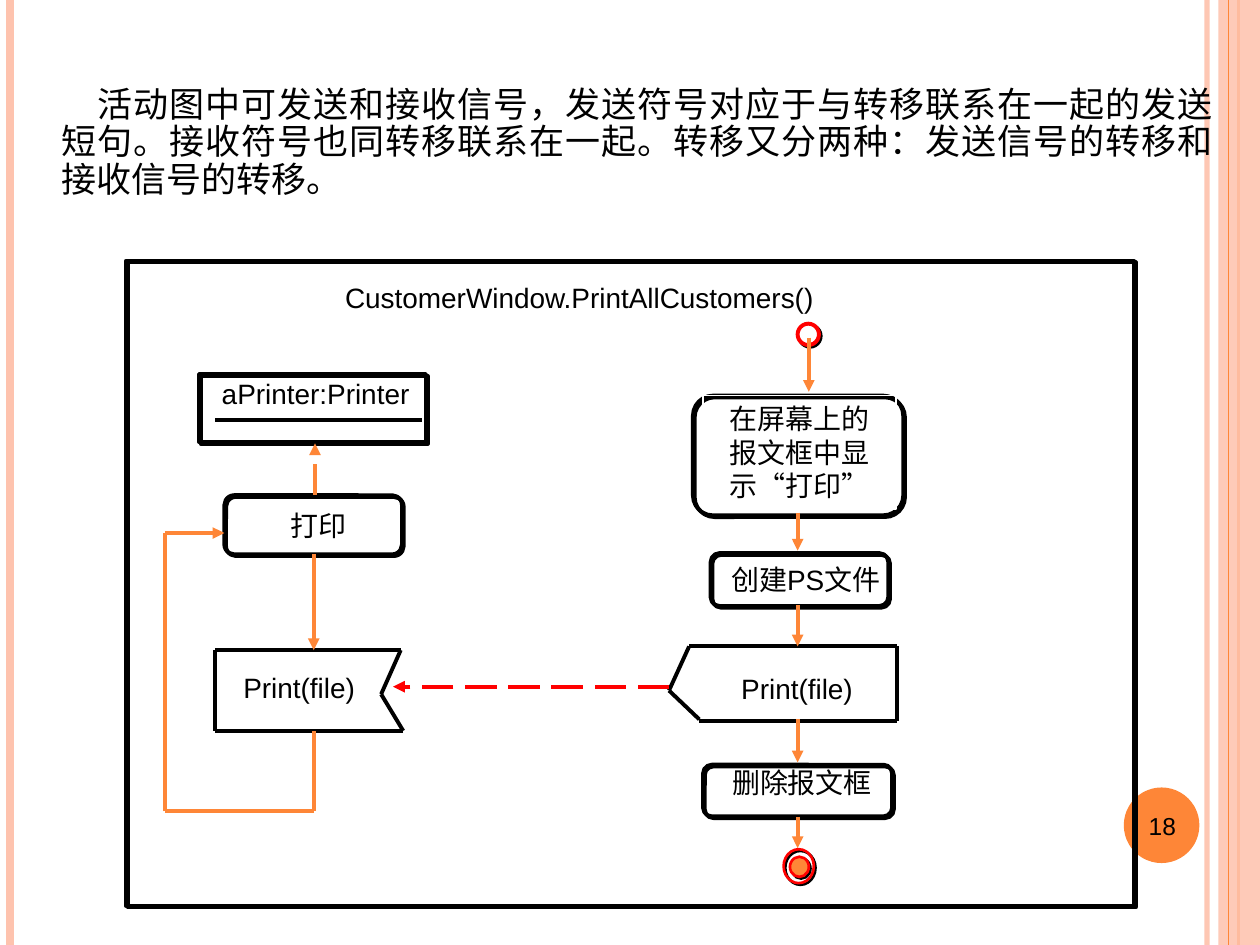
from dataclasses import dataclass
from itertools import pairwise
from typing import Optional

from lxml import etree
from pptx import Presentation
from pptx import util as u
from pptx.dml.color import RGBColor
from pptx.enum import dml, shapes, text
from pptx.oxml import ns

BLACK = RGBColor(0x00, 0x00, 0x00)
WHITE = RGBColor(0xFF, 0xFF, 0xFF)
RED = RGBColor(0xFF, 0x00, 0x00)
ORANGE = RGBColor(0xFE, 0x86, 0x37)
PEACH = RGBColor(0xFE, 0xC3, 0xAE)

LATIN, CHINESE = "Arial", "Noto Sans CJK SC"
RECT = shapes.MSO_SHAPE.RECTANGLE
ROUND = shapes.MSO_SHAPE.ROUNDED_RECTANGLE
OVAL = shapes.MSO_SHAPE.OVAL
CENTER, LEFT, JUSTIFY = text.PP_ALIGN.CENTER, text.PP_ALIGN.LEFT, text.PP_ALIGN.JUSTIFY
FLOW_X, PRINTER_X = 455.8, 179.3  # centre lines of the two flows


@dataclass
class Node:
    kind: shapes.MSO_SHAPE
    x: float
    y: float
    width: float
    height: float
    fill: Optional[RGBColor] = None
    line: Optional[RGBColor] = BLACK
    weight: float = 2.25
    shadow: bool = True
    alpha: int = 100


@dataclass
class Route:
    points: list
    color: RGBColor = ORANGE
    weight: float = 2.25
    arrow: bool = False
    dashed: bool = False
    alpha: int = 100


@dataclass
class Label:
    words: str
    x: float
    y: float
    width: float
    height: float = 26.6
    align: text.PP_ALIGN = CENTER
    size: float = 16
    font: str = LATIN
    wrap: bool = False
    middle: bool = False


def add_child(parent, tag: str, **attributes):
    child = etree.SubElement(parent, ns.qn(tag))
    for name, value in attributes.items():
        child.set(name, str(value))
    return child


def set_alpha(element, percent: int) -> None:
    if percent < 100:
        color = next(element.iter(ns.qn("a:srgbClr")))
        add_child(color, "a:alpha", val=percent * 1000)


def draw_node(page, node: Node):
    box = page.shapes.add_shape(node.kind, u.Pt(node.x), u.Pt(node.y),
                                u.Pt(node.width), u.Pt(node.height))
    box.shadow.inherit = False
    if node.fill is None:
        box.fill.background()
    else:
        box.fill.solid()
        box.fill.fore_color.rgb = node.fill
        set_alpha(box._element.spPr, node.alpha)
    if node.line is None:
        box.line.fill.background()
    else:
        box.line.color.rgb = node.line
        box.line.width = u.Pt(node.weight)
    if node.shadow:
        effects = box._element.spPr.find(ns.qn("a:effectLst"))
        shadow = add_child(effects, "a:outerShdw", blurRad=0, dist=u.Pt(1.4),
                           dir=45 * 60000, algn="ctr", rotWithShape=0)
        add_child(shadow, "a:srgbClr", val=str(BLACK))
    return box


def draw_route(page, route: Route) -> None:
    legs = list(pairwise(route.points))
    for number, (start, end) in enumerate(legs, 1):
        leg = page.shapes.add_connector(shapes.MSO_CONNECTOR.STRAIGHT,
                                        *(u.Pt(value) for value in start + end))
        leg.line.color.rgb = route.color
        leg.line.width = u.Pt(route.weight)
        if route.dashed:
            leg.line.dash_style = dml.MSO_LINE.LONG_DASH
        properties = leg._element.spPr
        set_alpha(properties, route.alpha)
        if route.arrow and number == len(legs):
            add_child(properties.find(ns.qn("a:ln")), "a:tailEnd", type="triangle")
        add_child(properties, "a:effectLst")


def write(box, label: Label) -> None:
    frame = box.text_frame
    frame.word_wrap = label.wrap
    if not label.wrap:
        frame.auto_size = text.MSO_AUTO_SIZE.SHAPE_TO_FIT_TEXT
    frame.vertical_anchor = (text.MSO_ANCHOR.MIDDLE if label.middle
                             else text.MSO_ANCHOR.TOP)
    frame.text = label.words
    for para in frame.paragraphs:
        para.alignment = label.align
        for span in para.runs:
            span.font.size = u.Pt(label.size)
            span.font.name = label.font
            span.font.color.rgb = BLACK
            add_child(span.font._element, "a:ea", typeface=CHINESE)


def draw_label(page, label: Label):
    box = page.shapes.add_textbox(u.Pt(label.x), u.Pt(label.y),
                                  u.Pt(label.width), u.Pt(label.height))
    write(box, label)
    return box


def vertical(x: float, top: float, bottom: float, **style) -> Route:
    return Route([(x, top), (x, bottom)], **style)


# Side stripes and page number disc
STRIPES = [vertical(689.8, 0, 540, color=PEACH, weight=3, alpha=93),
           vertical(5.8, 0, 540, color=PEACH, weight=4.5),
           vertical(707.8, 0, 540, weight=1.5)]
BAND = Node(RECT, 696.2, 0, 23.8, 540, PEACH, None, shadow=False, alpha=87)
THIN_STRIPE = vertical(702, 0, 540, weight=0.75)
DISC = Node(OVAL, 642.2, 450, 43.2, 43.2, ORANGE, None, shadow=False)

INTRO = Label("　活动图中可发送和接收信号，发送符号对应于与转移联系在一起的发送短句。"
              "接收符号也同转移联系在一起。转移又分两种：发送信号的转移和接收信号的转移。",
              28.1, 46.1, 671.8, 105.8, JUSTIFY, 20, CHINESE, wrap=True)

NODES = [
    Node(RECT, 72, 149, 576, 368.6),            # diagram frame
    Node(RECT, 113.8, 213.8, 129.6, 38.9),      # printer object
    Node(ROUND, 128.2, 283, 101.5, 33.8),       # print
    Node(ROUND, 401.8, 437, 108, 29.5),         # remove message box
    Node(ROUND, 406.1, 316.1, 101.5, 30.2),     # create file
    Node(ROUND, 396, 226.1, 120.2, 68.4),       # show message box
    Node(OVAL, 455.8, 185, 12.2, 12.2, WHITE, RED),           # start
    Node(OVAL, 451.4, 489.6, 10.8, 11.5, ORANGE, RED, 1.5),   # end, core
    Node(OVAL, 447.8, 485.3, 17.3, 19.4, None, RED, 1.5),     # end, ring
]

ROUTES = [
    # Receive and send signal symbols
    Route([(230.4, 417.6), (123.1, 417.6), (123.1, 371.5), (229, 371.5),
           (217.8, 396.7), (230.4, 417.6)], BLACK),
    Route([(399.6, 412.2), (512.6, 412.2), (512.6, 369.4), (393.8, 369.4),
           (382.3, 394.6), (399.6, 411.1)], BLACK),
    Route([(123.1, 239.8), (241.2, 239.8)], BLACK),  # object name underline
    # Signal between the flows, then the printer loop
    Route([(382.3, 392.4), (224.6, 392.4)], RED, arrow=True, dashed=True),
    Route([(PRINTER_X, 417.6), (PRINTER_X, 463.7), (94.3, 463.7),
           (94.3, 304.6), (128.2, 304.6)], arrow=True),
    vertical(PRINTER_X, 316.8, 371.5, arrow=True),
    vertical(180, 283, 253.4, arrow=True, dashed=True),
    # Customer window flow
    vertical(462.2, 193, 223.9, arrow=True),
    *(vertical(FLOW_X, top, bottom, arrow=True) for top, bottom in
      [(293, 314.6), (345.6, 369.4), (411.1, 435.6), (466.6, 484.6)]),
]

LABELS = [
    Label("CustomerWindow.PrintAllCustomers()", 190.1, 157, 349.2, align=LEFT, wrap=True),
    Label("aPrinter:Printer", 119.5, 211.7, 121.7),
    Label("打印", 159.1, 287.3, 46.1),
    Label("Print(file)", 131, 379.4, 80),
    Label("Print(file)", 415.5, 380.2, 80),
    Label("创建PS文件", 406.8, 318.2, 107.3),
    Label("删除报文框", 411.1, 434.2, 94.3),
    Label("18", 640.1, 451.4, 48.2, 41, size=14, wrap=True, middle=True),
]
MESSAGE = Label("在屏幕上的\n报文框中显示“打印”", 401.8, 226.1, 110.2, 64.8, wrap=True)


def main() -> None:
    deck = Presentation()
    deck.slide_width, deck.slide_height = u.Pt(720), u.Pt(540)
    page = deck.slides.add_slide(deck.slide_layouts[6])

    # Background
    for stripe in STRIPES:
        draw_route(page, stripe)
    draw_node(page, BAND)
    draw_route(page, THIN_STRIPE)
    draw_node(page, DISC)

    # Introduction
    intro = draw_label(page, INTRO)
    intro.text_frame.paragraphs[0].line_spacing = 0.9

    # Activity diagram
    for node in NODES:
        draw_node(page, node)
    message_box = draw_node(page, Node(RECT, MESSAGE.x, MESSAGE.y, MESSAGE.width,
                                       MESSAGE.height, None, WHITE, 0.75, False))
    write(message_box, MESSAGE)
    for route in ROUTES:
        draw_route(page, route)
    for label in LABELS:
        draw_label(page, label)

    deck.save("out.pptx")


if __name__ == "__main__":
    main()
